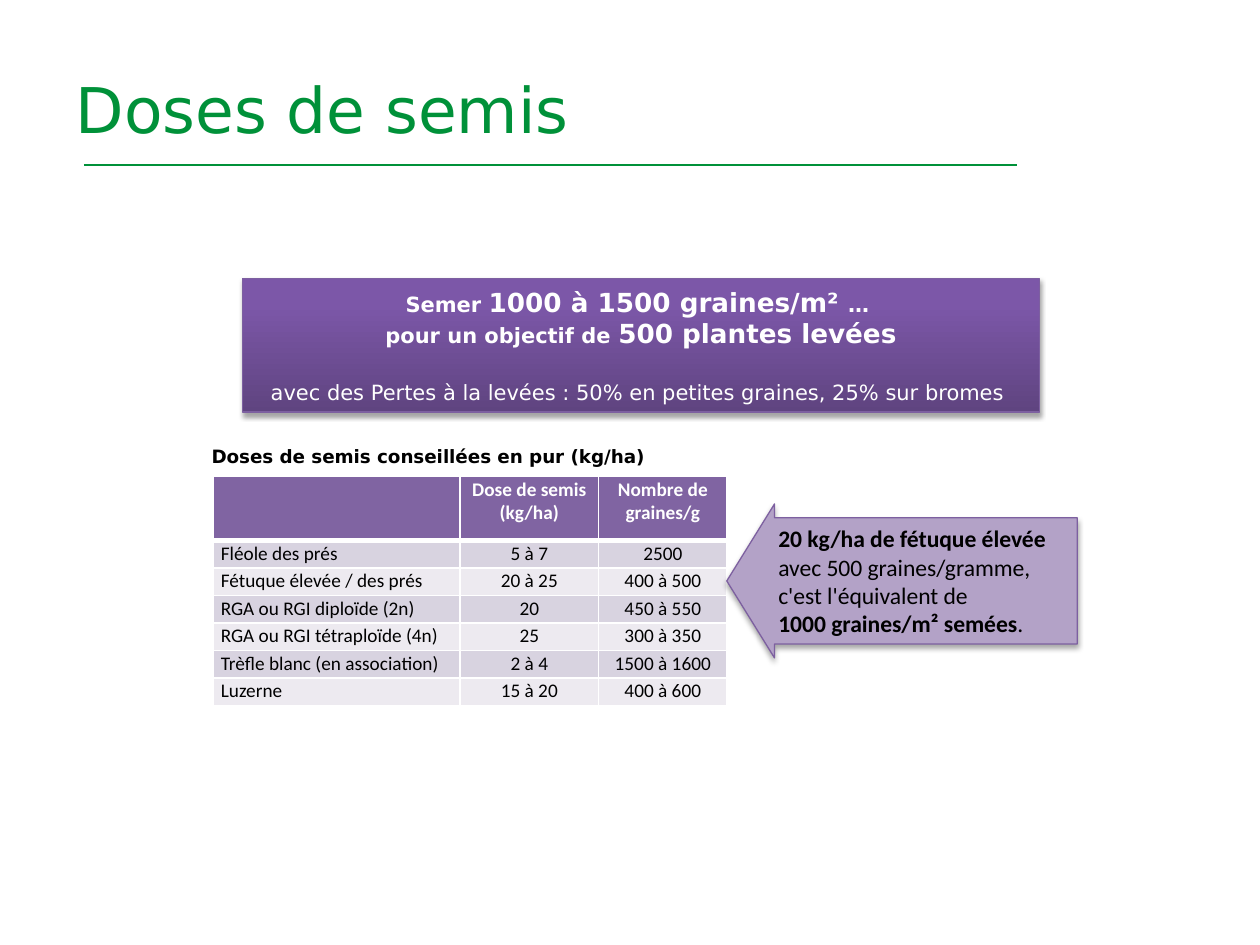
from lxml.etree import SubElement
from pptx import Presentation
from pptx.dml.color import RGBColor
from pptx.enum.shapes import MSO_CONNECTOR, MSO_SHAPE
from pptx.enum.text import MSO_ANCHOR, PP_ALIGN
from pptx.oxml.ns import qn
from pptx.util import Pt

LEFT, MID, JUST = PP_ALIGN.LEFT, PP_ALIGN.CENTER, PP_ALIGN.JUSTIFY
TOP, CENTRE = MSO_ANCHOR.TOP, MSO_ANCHOR.MIDDLE
RECT, ARROW = MSO_SHAPE.RECTANGLE, MSO_SHAPE.LEFT_ARROW
LINE = MSO_CONNECTOR.STRAIGHT

GREEN = RGBColor(0x00, 0x91, 0x39)
WHITE = RGBColor(0xFF, 0xFF, 0xFF)
BLACK = RGBColor(0x00, 0x00, 0x00)
DARK = RGBColor(0x5F, 0x44, 0x80)
LIGHT = RGBColor(0x7C, 0x57, 0xA8)
EDGE = RGBColor(0x7D, 0x60, 0xA0)
LILAC = RGBColor(0xB3, 0xA2, 0xC7)
HEAD = RGBColor(0x80, 0x64, 0xA2)
BANDS = [RGBColor(0xED, 0xEA, 0xF0), RGBColor(0xD8, 0xD3, 0xE0)]
SANS, BODY = "DejaVu Sans", "Calibri"


def write(frame, paras, font, color, align):
    for i, runs in enumerate(paras):
        para = frame.paragraphs[0] if i == 0 else frame.add_paragraph()
        para.alignment = align
        for text, size, bold in runs:
            run = para.add_run()
            run.text = text
            run.font.name = font
            run.font.size = Pt(size)
            run.font.bold = bold
            run.font.color.rgb = color


def finish(shape):
    shape.line.color.rgb = EDGE
    shape.line.width = Pt(0.75)
    shape.shadow.inherit = False
    effects = shape._element.spPr.find(qn("a:effectLst"))
    shade = SubElement(effects, qn("a:outerShdw"), blurRad=str(Pt(3.1)),
                       dist=str(Pt(1.8)), dir="5400000", rotWithShape="0")
    tint = SubElement(shade, qn("a:srgbClr"), val=str(BLACK))
    SubElement(tint, qn("a:alpha"), val="35000")
    shape.text_frame.word_wrap = True
    shape.text_frame.vertical_anchor = CENTRE


deck = Presentation()
deck.slide_width, deck.slide_height = Pt(720), Pt(540)
slide = deck.slides.add_slide(deck.slide_layouts[5])
shapes = slide.shapes

rule = shapes.add_connector(LINE, Pt(48), Pt(94.3), Pt(581), Pt(94.3))
rule.line.color.rgb = GREEN
rule.line.width = Pt(1.5)
SubElement(rule._element.spPr, qn("a:effectLst"))

title = shapes.title
title.left, title.top, title.width, title.height = Pt(36), Pt(24), Pt(612), Pt(75.6)
title.text_frame.vertical_anchor = CENTRE
write(title.text_frame, [[("Doses de semis", 36, False)]], SANS, GREEN, LEFT)

goal = shapes.add_shape(RECT, Pt(138.6), Pt(159), Pt(455.4), Pt(76.5))
goal.fill.gradient()
goal.fill.gradient_angle = 90
stops = goal.fill.gradient_stops
for stop, color, place in zip(stops, (DARK, LIGHT), (0, 0.8)):
    stop.color.rgb = color
    stop.position = place
finish(goal)
write(goal.text_frame, [
    [("Semer ", 12, True), ("1000 à 1500 graines/m² ", 15, True), ("… ", 12, True)],
    [("pour un objectif de ", 12, True), ("500 plantes levées", 15, True)],
    [("avec des Pertes à la levées : 50% en petites graines, 25% sur bromes ", 12, False)],
], SANS, WHITE, MID)
goal.text_frame.paragraphs[2].space_before = Pt(17.5)

rows = [
    ("", "Dose de semis (kg/ha)", "Nombre de graines/g"),
    ("Fléole des prés", "5 à 7", "2500"),
    ("Fétuque élevée / des prés", "20 à 25", "400 à 500"),
    ("RGA ou RGI diploïde (2n)", "20", "450 à 550"),
    ("RGA ou RGI tétraploïde (4n)", "25", "300 à 350"),
    ("Trèfle blanc (en association)", "2 à 4", "1500 à 1600"),
    ("Luzerne", "15 à 20", "400 à 600"),
]
table = shapes.add_table(len(rows), 3, Pt(121.9), Pt(272.2), Pt(293.6), Pt(131)).table
for col, width in zip(table.columns, (141, 79.2, 73.4)):
    col.width = Pt(width)
for r, row in enumerate(rows):
    table.rows[r].height = Pt(15.7 if r else 36.8)
    for c, text in enumerate(row):
        cell = table.cell(r, c)
        cell.margin_left = cell.margin_right = Pt(4.3)
        cell.margin_top = cell.margin_bottom = Pt(0.7)
        cell.vertical_anchor = TOP
        props = cell._tc.get_or_add_tcPr()
        for side in "LRTB":
            thick = (r, side) in ((0, "B"), (1, "T"))
            edge = SubElement(props, qn("a:ln" + side), w=str(Pt(3 if thick else 1)))
            paint = SubElement(edge, qn("a:solidFill"))
            SubElement(paint, qn("a:srgbClr"), val=str(WHITE))
        cell.fill.solid()
        cell.fill.fore_color.rgb = BANDS[r % 2] if r else HEAD
        if text:
            write(cell.text_frame, [[(text, 11, r == 0)]], BODY,
                  BLACK if r else WHITE, MID if c else LEFT)

note = shapes.add_shape(ARROW, Pt(415.3), Pt(288), Pt(200.2), Pt(88))
note.adjustments[0], note.adjustments[1] = 0.82, 0.31
note.fill.solid()
note.fill.fore_color.rgb = LILAC
finish(note)
write(note.text_frame, [
    [("20 kg/ha de fétuque élevée ", 13.5, True),
     ("avec 500 graines/gramme, c'est l'équivalent de", 13.5, False)],
    [("1000 graines/m² semées", 13.5, True), (".", 13.5, False)],
], BODY, BLACK, LEFT)

label = shapes.add_textbox(Pt(113.8), Pt(250.6), Pt(270.7), Pt(20.2))
label.text_frame.word_wrap = False
label.text_frame.vertical_anchor = CENTRE
write(label.text_frame, [[("Doses de semis conseillées en pur (kg/ha)", 10.5, True)]],
      SANS, BLACK, JUST)

deck.save("out.pptx")
